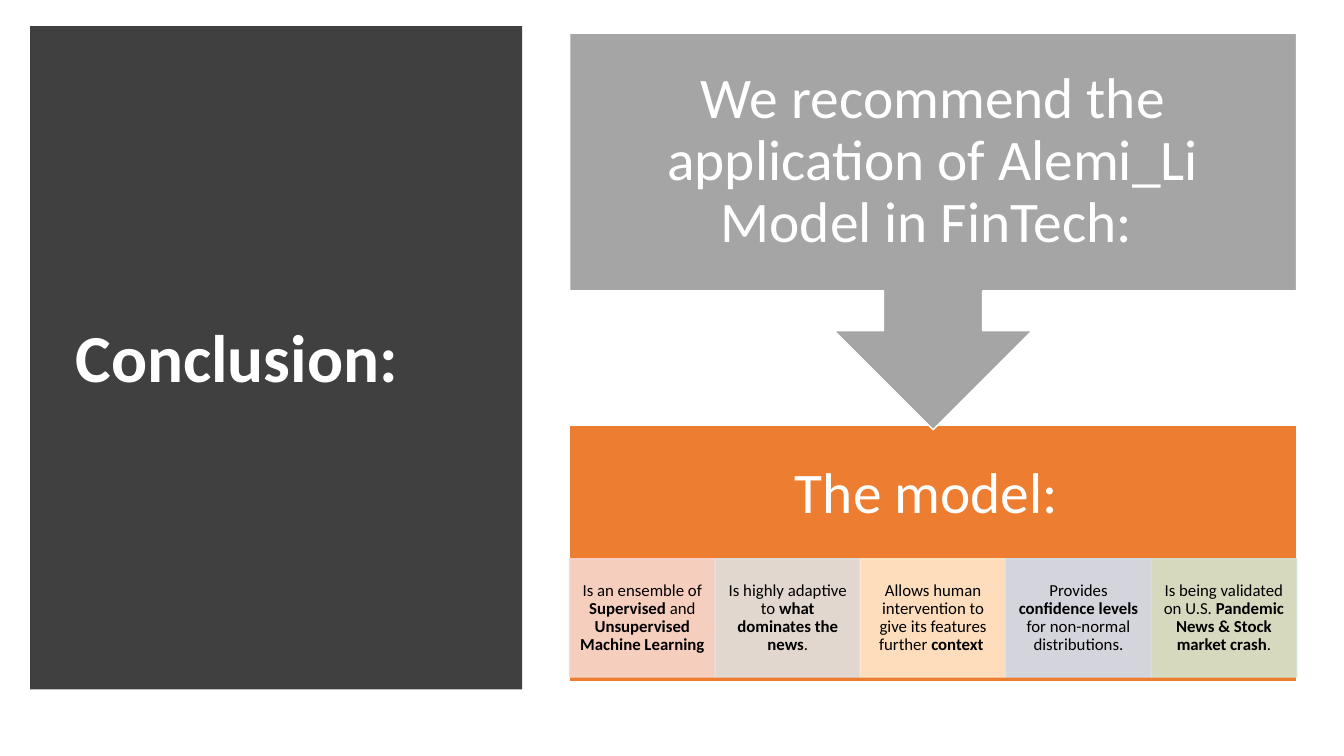
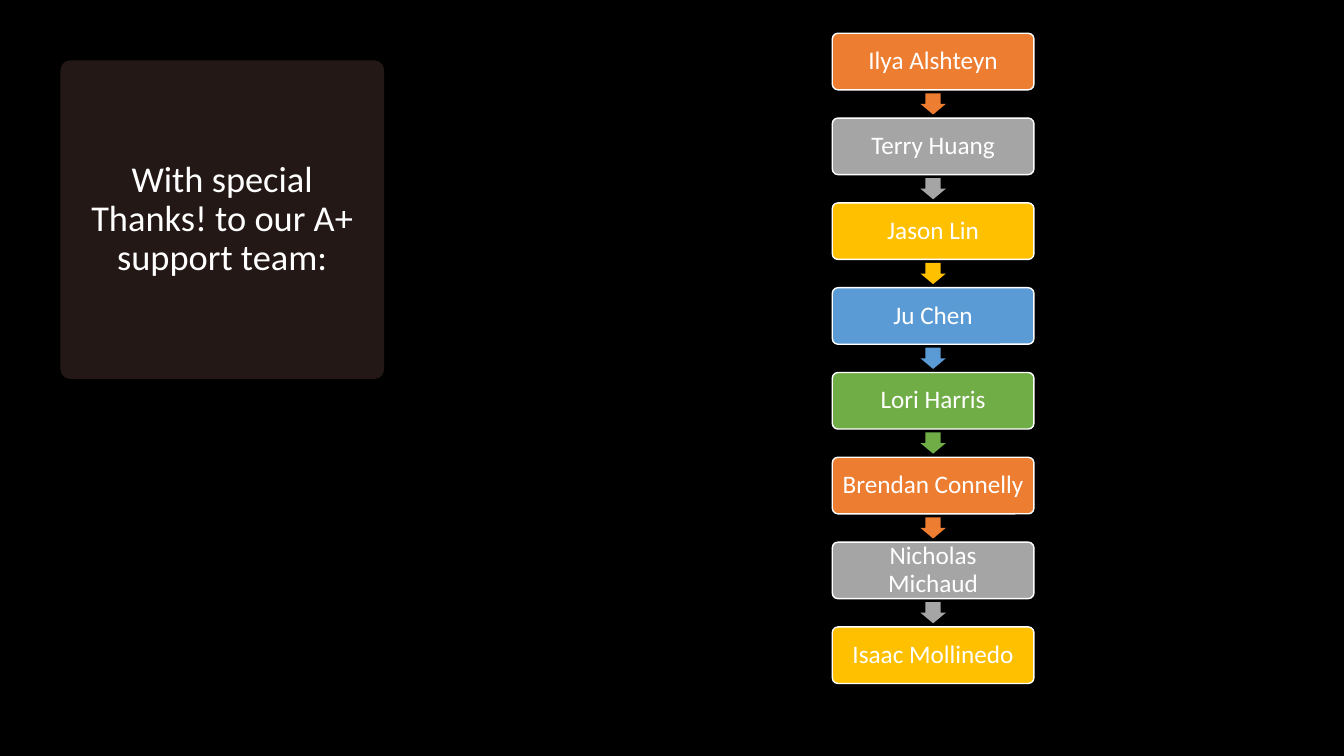
import lxml.etree
import pptx
import pptx.dml.color
import pptx.enum.shapes
import pptx.enum.text
import pptx.oxml.ns
import pptx.util

RGBColor = pptx.dml.color.RGBColor
KIND = pptx.enum.shapes.MSO_SHAPE
ALIGN = pptx.enum.text.PP_ALIGN

WHITE = RGBColor(0xFF, 0xFF, 0xFF)
BLACK = RGBColor(0x00, 0x00, 0x00)
SLATE = RGBColor(0x40, 0x40, 0x40)
UMBER = RGBColor(0x23, 0x18, 0x15)
ORANGE = RGBColor(0xED, 0x7D, 0x31)
GREY = RGBColor(0xA5, 0xA5, 0xA5)
GOLD = RGBColor(0xFF, 0xC0, 0x00)
BLUE = RGBColor(0x5B, 0x9B, 0xD5)
GREEN = RGBColor(0x70, 0xAD, 0x47)
ACCENTS = [ORANGE, GREY, GOLD, BLUE, GREEN]
TINTS = [
    RGBColor(0xF8, 0xD7, 0xCE),
    RGBColor(0xE1, 0xE1, 0xE1),
    RGBColor(0xFF, 0xE8, 0xCC),
    RGBColor(0xD2, 0xDE, 0xEF),
    RGBColor(0xD5, 0xE3, 0xCF),
]

FONT = "Calibri"
WIDE, HIGH = 13.33, 7.5
BODY = (5.65, 0.33, 7.21, 6.45)

# Each trait is a list of (text, bold) runs.
TRAITS = [
    [("Is an ensemble of ", False), ("Supervised", True), (" and ", False),
     ("Unsupervised Machine Learning ", True)],
    [("Is highly adaptive to ", False), ("what dominates the news", True),
     (".", False)],
    [("Allows human intervention to give its features further ", False),
     ("context ", True)],
    [("Provides ", False), ("confidence levels ", True),
     ("for non-normal distributions.", False)],
    [("Is being validated on U.S. ", False),
     ("Pandemic News & Stock market crash", True), (".", False)],
]
TEAM = ["Ilya Alshteyn", "Terry Huang", "Jason Lin", "Ju Chen", "Lori Harris",
        "Brendan Connelly", "Nicholas Michaud", "Isaac Mollinedo"]


def add_slide(deck, color):
    slide = deck.slides.add_slide(deck.slide_layouts[6])
    slide.background.fill.solid()
    slide.background.fill.fore_color.rgb = color
    return slide


def add_block(slide, kind, box, fill, line=None, round_by=None):
    shape = slide.shapes.add_shape(kind, *map(pptx.util.Inches, box))
    shape.shadow.inherit = False
    shape.fill.solid()
    shape.fill.fore_color.rgb = fill
    if line is None:
        shape.line.fill.background()
    else:
        shape.line.color.rgb = line
        shape.line.width = pptx.util.Pt(1)
    if round_by is not None:
        shape.adjustments[0] = round_by
    return shape


def fade(shape, share):
    """Make the fill and line of a shape opaque by the given share."""
    tag = pptx.oxml.ns.qn("a:srgbClr")
    for color in shape.element.spPr.iter(tag):
        lxml.etree.SubElement(color, pptx.oxml.ns.qn("a:alpha"),
                              val=str(round(share * 100000)))


def write(shape, runs, size, insets, color=WHITE, align=ALIGN.CENTER):
    """Fill a shape with (text, bold) runs; insets are left, top, right, bottom."""
    frame = shape.text_frame
    frame.word_wrap = True
    frame.vertical_anchor = pptx.enum.text.MSO_ANCHOR.MIDDLE
    (frame.margin_left, frame.margin_top, frame.margin_right,
     frame.margin_bottom) = map(pptx.util.Inches, insets)
    para = frame.paragraphs[0]
    para.alignment = align
    para.line_spacing = 0.9
    for text, bold in runs:
        run = para.add_run()
        run.text = text
        run.font.name = FONT
        run.font.size = pptx.util.Pt(size)
        run.font.bold = bold
        run.font.color.rgb = color


def draw_traits(slide, box):
    left, top, width, height = box
    step = width / len(TRAITS)
    for index, (runs, tint) in enumerate(zip(TRAITS, TINTS)):
        tile = add_block(slide, KIND.RECTANGLE,
                         (left + index * step, top, step, height), tint, tint)
        fade(tile, 0.9)
        write(tile, runs, 12, (0.09, 0.02, 0.09, 0.02), BLACK)


def draw_advice(slide, box):
    """Place the callout above the model band and its row of traits."""
    left, top, width, height = box
    pad = 0.32
    base, tall = top + 0.603 * height, 0.395 * height
    band = add_block(slide, KIND.RECTANGLE, (left, base, width, tall),
                     ORANGE, WHITE)
    write(band, [("The model: ", False)], 41,
          (pad, pad, pad, pad + 0.46 * tall))
    draw_traits(slide, (left, base + 0.52 * tall, width, 0.46 * tall))
    call = add_block(slide, KIND.DOWN_ARROW_CALLOUT,
                     (left, top, width, 0.61 * height), GREY, WHITE)
    write(call,
          [("We recommend the application of Alemi_Li Model in FinTech: ",
            False)], 41, (pad,) * 4)


def draw_chain(slide, box):
    """Stack the names, each two units high, with arrows in one-unit gaps."""
    left, top, width, height = box
    unit = height / (3 * len(TEAM) - 1)
    wide, middle = 2, left + width / 2
    for index, name in enumerate(TEAM):
        color = ACCENTS[index % len(ACCENTS)]
        y = top + 3 * unit * index
        card = add_block(slide, KIND.ROUNDED_RECTANGLE,
                         (middle - wide / 2, y, wide, 2 * unit),
                         color, WHITE, 0.1)
        write(card, [(name, False)], 18, (0.08,) * 4)
        if index < len(TEAM) - 1:
            arrow = add_block(slide, KIND.DOWN_ARROW,
                              (middle - 0.45 * unit, y + 2.125 * unit,
                               0.9 * unit, 0.75 * unit), color, round_by=0.6)
            arrow.adjustments[1] = 0.5


def draw_close(deck):
    slide = add_slide(deck, WHITE)
    panel = add_block(slide, KIND.RECTANGLE, (0.3, 0.26, 4.88, 6.58), SLATE)
    write(panel, [("Conclusion:", True)], 48, (0.45, 0.1, 0.45, 0.05),
          align=ALIGN.LEFT)
    draw_advice(slide, BODY)


def draw_thanks(deck):
    slide = add_slide(deck, BLACK)
    panel = add_block(slide, KIND.ROUNDED_RECTANGLE, (0.6, 0.6, 3.21, 3.16),
                      UMBER, round_by=0.03)
    write(panel, [("With special Thanks! to our A+ support team:", False)],
          26, (0.2, 0.15, 0.2, 0.15))
    draw_chain(slide, BODY)


def main():
    deck = pptx.Presentation()
    deck.slide_width = pptx.util.Inches(WIDE)
    deck.slide_height = pptx.util.Inches(HIGH)
    draw_close(deck)
    draw_thanks(deck)
    deck.save("out.pptx")


if __name__ == "__main__":
    main()
